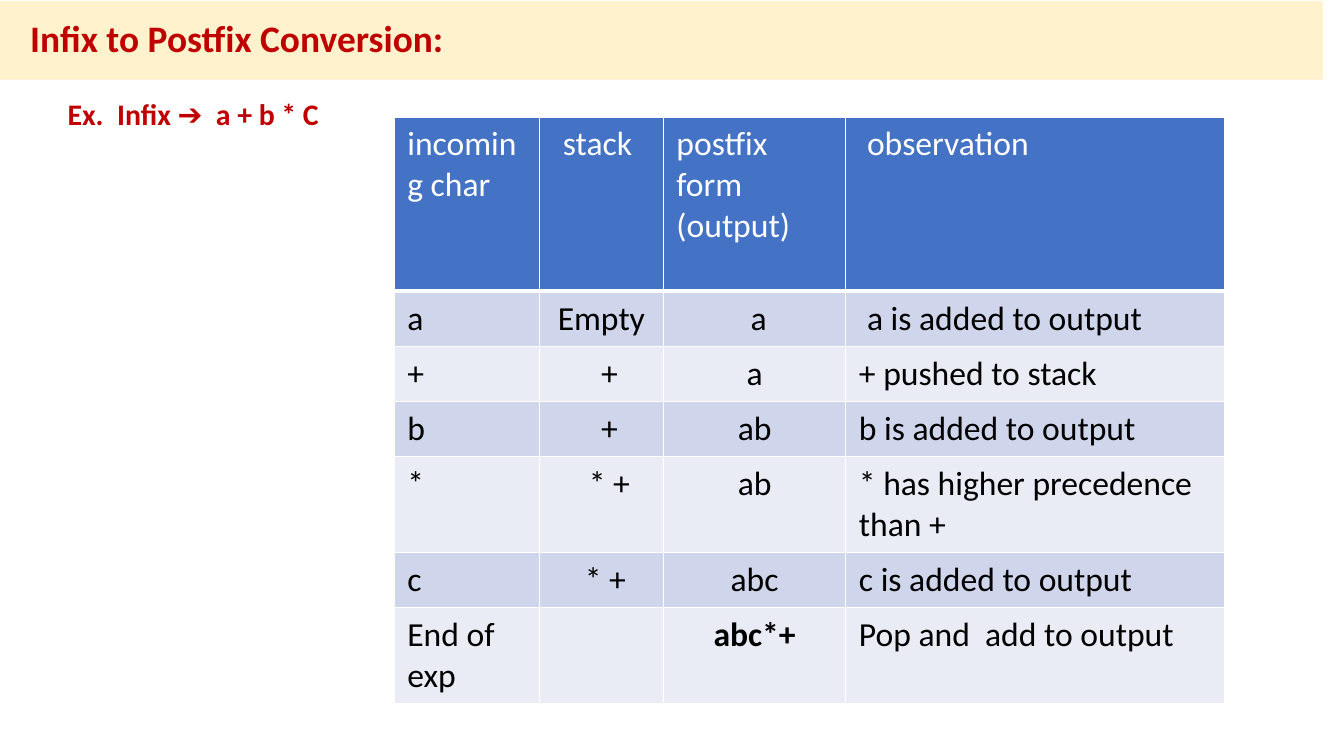
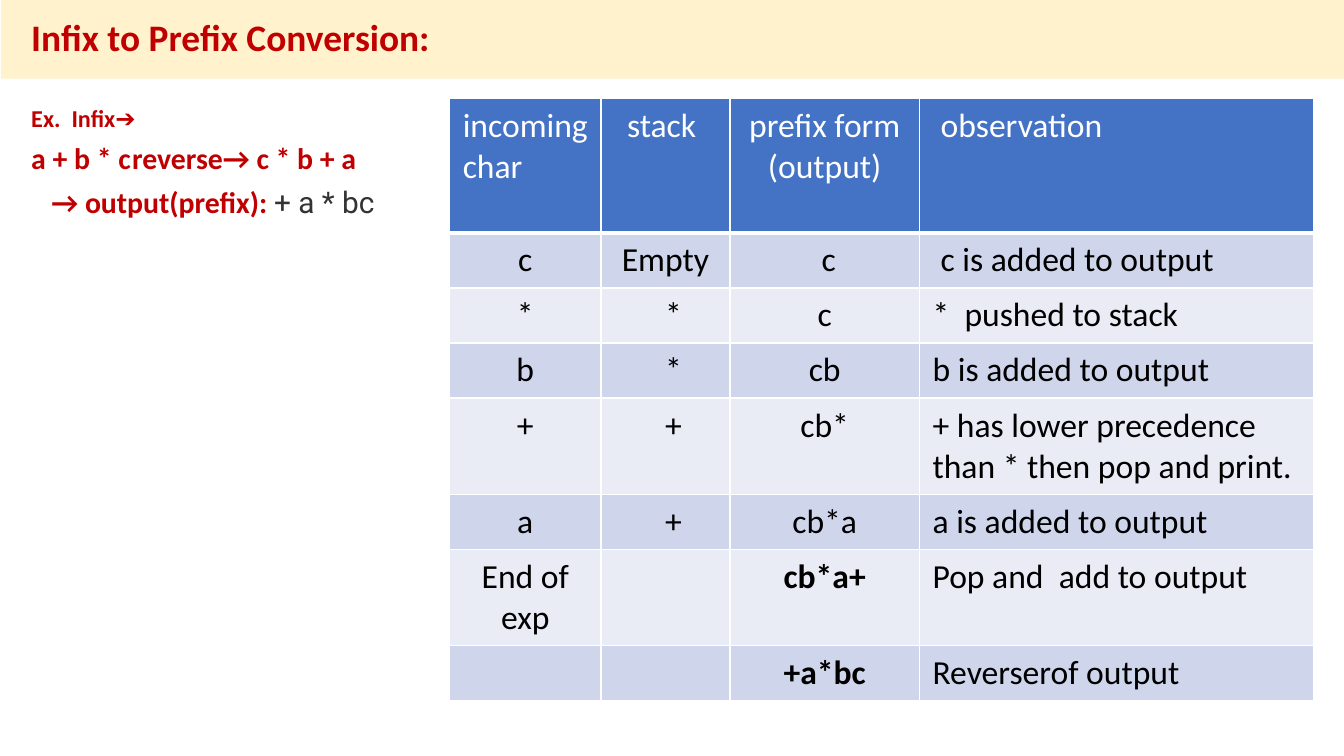
from lxml.etree import SubElement
from pptx import Presentation
from pptx.dml.color import RGBColor as Rgb
from pptx.enum.text import MSO_ANCHOR as Anchor, MSO_AUTO_SIZE as AutoSize, PP_ALIGN as Align
from pptx.oxml import parse_xml
from pptx.oxml.ns import nsdecls, qn
from pptx.util import Pt

PX = 9144
COLORS = {
    "accent": "C00000", "band": "FFF2CC", "header": "4472C4", "odd": "CFD5EA",
    "even": "E9EBF5", "white": "FFFFFF", "ink": "000000", "result": "333333",
}
ALIGNMENTS = {"l": Align.LEFT, "c": Align.CENTER}
SPACE = 8


def px(length):
    """Turn whole pixels, 100 to the inch, into EMU."""
    return length * PX


def write(paragraph, text, *, size=24, color="ink", bold=False, font="Calibri"):
    """Add one formatted run to a paragraph."""
    run = paragraph.add_run()
    run.text = text
    run.font.size = Pt(size)
    run.font.name = font
    run.font.bold = bold
    run.font.color.rgb = Rgb.from_string(COLORS[color])


def arrange(paragraph, align="l", indent=0, tab=None, spaced=False):
    """Set alignment, indent, spacing and tab stop, without a bullet."""
    paragraph.alignment = ALIGNMENTS[align]
    if spaced:
        paragraph.line_spacing = 0.9
        paragraph.space_before, paragraph.space_after = Pt(0), Pt(8)
    properties = paragraph._p.get_or_add_pPr()
    properties.set("marL", str(px(indent)))
    properties.set("indent", "0")
    SubElement(properties, qn("a:buNone"))
    if tab:
        stops = SubElement(properties, qn("a:tabLst"))
        SubElement(stops, qn("a:tab"), pos=str(px(tab)), algn="l")


class Deck:
    """Hold the shared style and the current slide."""

    def __init__(self):
        """Start an empty widescreen presentation."""
        self.presentation = Presentation()
        self.presentation.slide_width = px(1333)
        self.presentation.slide_height = px(750)
        self.slide = None

    def new_slide(self):
        """Add a slide with a title and a body placeholder."""
        layout = self.presentation.slide_layouts[1]
        self.slide = self.presentation.slides.add_slide(layout)

    def place(self, placeholder, box, anchor):
        """Move a placeholder and give it the shared margins."""
        placeholder.left, placeholder.top, placeholder.width, placeholder.height = map(px, box)
        frame = placeholder.text_frame
        frame.word_wrap = True
        frame.auto_size = AutoSize.NONE
        frame.vertical_anchor = anchor
        frame.margin_left, frame.margin_right = px(30), px(13)
        frame.margin_top = frame.margin_bottom = px(7)
        return frame

    def title(self, text, box):
        """Fill the title band."""
        band = self.slide.shapes.title
        band.fill.solid()
        band.fill.fore_color.rgb = Rgb.from_string(COLORS["band"])
        heading = self.place(band, box, Anchor.MIDDLE).paragraphs[0]
        arrange(heading, spaced=True)
        write(heading, text, size=26.7, color="accent", bold=True)

    def example(self, lines, box):
        """Fill the body from lines of (runs, paragraph format)."""
        frame = self.place(self.slide.placeholders[1], box, Anchor.TOP)
        for number, (runs, layout) in enumerate(lines):
            line = frame.add_paragraph() if number else frame.paragraphs[0]
            arrange(line, spaced=True, **layout)
            for text, style in runs:
                write(line, text, **{"size": 21.3, "color": "accent", "bold": True, **style})

    def border(self, cell, is_header):
        """Draw white rules around a cell, heavier under the header."""
        properties = cell._tc.get_or_add_tcPr()
        for position, side in enumerate("LRTB"):
            width = Pt(3 if is_header and side == "B" else 1)
            properties.insert(position, parse_xml(
                f'<a:ln{side} {nsdecls("a")} w="{width}"><a:solidFill>'
                f'<a:srgbClr val="{COLORS["white"]}"/></a:solidFill></a:ln{side}>'))

    def trace(self, rows, origin, widths, heights, header_align, row_align, results):
        """Add the conversion table; an entry is text or (text, indent)."""
        size = (sum(widths), sum(heights))
        table = self.slide.shapes.add_table(
            len(rows), len(widths), *map(px, origin + size)).table
        for column, width in zip(table.columns, widths):
            column.width = px(width)
        for index, (row, height, entries) in enumerate(zip(table.rows, heights, rows)):
            row.height = px(height)
            is_header = index == 0
            fill = "header" if is_header else ("even", "odd")[index % 2]
            aligns = header_align if is_header else row_align
            for cell, entry, align in zip(row.cells, entries, aligns):
                text, indent = entry if isinstance(entry, tuple) else (entry, 0)
                cell.fill.solid()
                cell.fill.fore_color.rgb = Rgb.from_string(COLORS[fill])
                self.border(cell, is_header)
                cell.margin_left = cell.margin_right = px(13)
                cell.margin_top = cell.margin_bottom = px(7)
                for number, part in enumerate(text.split("\n") if text else []):
                    frame = cell.text_frame
                    line = frame.add_paragraph() if number else frame.paragraphs[0]
                    arrange(line, align, indent)
                    write(line, part, color="white" if is_header else "ink",
                          bold=part in results)


def main():
    """Build both conversion slides."""
    deck = Deck()

    deck.new_slide()
    deck.title("Infix to Postfix Conversion:", (0, 1, 1312, 78))
    deck.example([([("Ex.  Infix ➔  a + b * C", {})], {})], (37, 92, 951, 625))
    deck.trace(
        [
            ("incoming char", "stack ", "postfix form\n(output)", ("observation", SPACE)),
            ("a", "Empty", ("a", SPACE), ("a is added to output", SPACE)),
            ("+", ("+", 2 * SPACE), "a", "+ pushed to stack"),
            ("b", ("+", 2 * SPACE), "ab", "b is added to output"),
            ("*", ("* +", 2 * SPACE), "ab", "* has higher precedence than +"),
            ("c", ("* +", SPACE), "abc", "c is added to output"),
            ("End of exp", "", "abc*+", "Pop and  add to output"),
        ],
        origin=(391, 116), widths=(144, 123, 181, 376),
        heights=(173, 54, 54, 54, 93, 54, 93),
        header_align="lcll", row_align="lccl", results={"abc*+"})

    deck.new_slide()
    deck.title("Infix to Prefix Conversion:", (1, 0, 1332, 78))
    deck.example(
        [
            ([("Ex.  Infix➔", {"size": 17.3})], {}),
            ([("a + b * c\treverse→ c * b + a", {})], {"tab": 127}),
            ([("→ output(prefix): ", {}),
              ("+ a * bc", {"font": "Roboto", "color": "result", "bold": False})],
             {"indent": 20}),
        ],
        (1, 99, 951, 625))
    deck.trace(
        [
            ("incoming char", "stack ", "prefix form\n(output)", ("observation", SPACE)),
            ("c", "Empty", ("c", SPACE), ("c is added to output", SPACE)),
            ("*", ("*", 2 * SPACE), "c", "*  pushed to stack"),
            ("b", ("*", 2 * SPACE), "cb", "b is added to output"),
            ("+", ("+", 2 * SPACE), "cb*", "+ has lower precedence than * then pop and print."),
            ("a", ("+", 2 * SPACE), "cb*a", "a is added to output"),
            ("End of exp", "", "cb*a+", "Pop and  add to output"),
            ("", "", "+a*bc", "Reverserof output"),
        ],
        origin=(446, 98), widths=(150, 128, 188, 391),
        heights=(133, 53, 53, 53, 94, 53, 94, 53),
        header_align="lccl", row_align="cccl", results={"cb*a+", "+a*bc"})

    deck.presentation.save("out.pptx")


if __name__ == "__main__":
    main()
